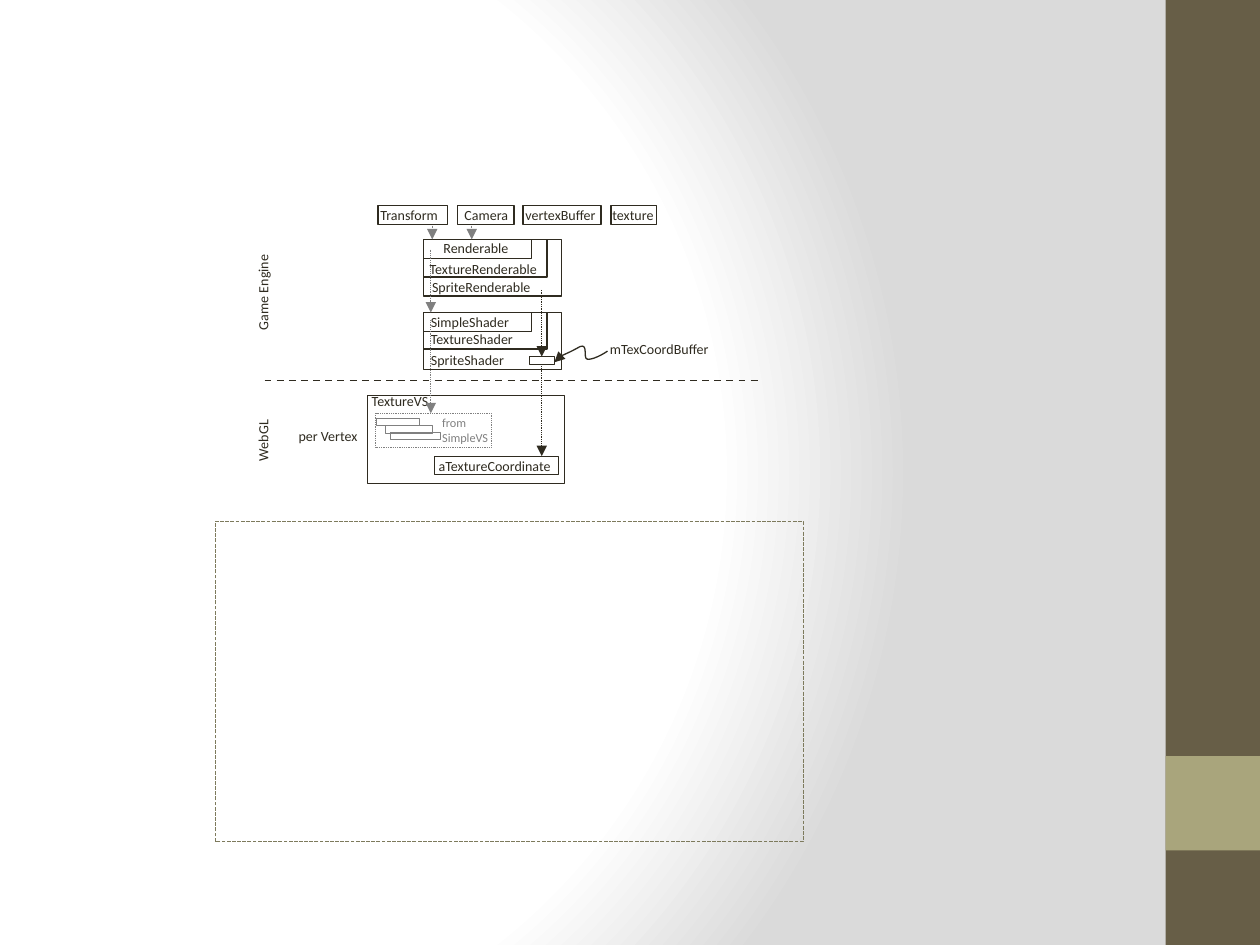
from lxml import etree
from pptx import Presentation
from pptx.dml.color import RGBColor
from pptx.enum.dml import MSO_LINE
from pptx.enum.shapes import MSO_CONNECTOR, MSO_SHAPE
from pptx.enum.text import MSO_AUTO_SIZE, PP_ALIGN
from pptx.oxml import parse_xml
from pptx.oxml.ns import nsdecls, qn
from pptx.util import Pt

INK = RGBColor(0x2F, 0x2B, 0x20)
GRAY = RGBColor(0x80, 0x80, 0x80)
OLIVE = RGBColor(0x7D, 0x7A, 0x5C)
BROWN = RGBColor(0x67, 0x5E, 0x47)
SAGE = RGBColor(0xA9, 0xA5, 0x7C)
WHITE = RGBColor(0xFF, 0xFF, 0xFF)
SILVER = RGBColor(0xDA, 0xDA, 0xDA)
RECT = MSO_SHAPE.RECTANGLE
STRAIGHT = MSO_CONNECTOR.STRAIGHT
DASH, DOT, FINE = MSO_LINE.DASH, MSO_LINE.ROUND_DOT, MSO_LINE.SQUARE_DOT
LEFT, CENTER = PP_ALIGN.LEFT, PP_ALIGN.CENTER
FRAME = {"margin_left": 0, "margin_right": 0, "margin_top": Pt(3.6),
         "margin_bottom": Pt(3.6), "word_wrap": False,
         "auto_size": MSO_AUTO_SIZE.SHAPE_TO_FIT_TEXT}
ROW = 10.8


def assign(item, values):
    """Set each attribute of an item from a dict."""
    for name, value in values.items():
        setattr(item, name, value)


def stroke(line, color, weight, dash=None):
    """Style an outline."""
    line.color.rgb = color
    assign(line, {"width": Pt(weight), "dash_style": dash})


def tip(shape, end):
    """Add a triangle head at one end of a line."""
    ln = shape.element.spPr.find(qn("a:ln"))
    etree.SubElement(ln, qn("a:" + end), type="triangle")


def box(shapes, left, top, width, height, color=INK, weight=0.75, dash=None):
    """Draw an unfilled rectangle."""
    rect = shapes.add_shape(RECT, Pt(left), Pt(top), Pt(width), Pt(height))
    rect.shadow.inherit = False
    rect.fill.background()
    stroke(rect.line, color, weight, dash)
    return rect


def label(shapes, left, top, width, *lines, height=17.3, size=8, color=INK,
          align=LEFT, turn=0):
    """Write a small label, one paragraph per line."""
    note = shapes.add_textbox(Pt(left), Pt(top), Pt(width), Pt(height))
    note.rotation = turn
    frame = note.text_frame
    assign(frame, FRAME)
    frame.text = "\n".join(lines)
    for para in frame.paragraphs:
        para.alignment = align
        assign(para.font, {"name": "Calibri", "size": Pt(size)})
        para.font.color.rgb = color


def link(shapes, x1, y1, x2, y2, color=INK, weight=0.5, dash=DOT, head=True):
    """Draw a dashed line, with an arrowhead if asked."""
    line = shapes.add_connector(STRAIGHT, Pt(x1), Pt(y1), Pt(x2), Pt(y2))
    stroke(line.line, color, weight, dash)
    if head:
        tip(line, "tailEnd")
    etree.SubElement(line.element.spPr, qn("a:effectLst"))
    return line


def tag(shapes, left, top, width, inset, span, text, weight=0.75, align=LEFT):
    """Group a label with its box."""
    group = shapes.add_group_shape().shapes
    label(group, left + inset, top - 2.9, span, text, align=align)
    box(group, left, top, width, ROW, weight=weight)


def stack(shapes, left, top, middle, names):
    """Nest three class boxes that share a corner."""
    sizes = (61.9, ROW), (70.6, middle), (79.2, 3 * ROW)
    for (width, height), (dx, dy, span, text) in zip(sizes, names):
        box(shapes, left, top, width, height)
        label(shapes, left + dx, top + dy, span, text)


def inputs(shapes, left, top):
    """Place the row of objects that feed the renderables."""
    tags = ((0, 39.6, 1.4, 36, "Transform", LEFT),
            (45.4, 32.4, 3.6, 25.9, "Camera", CENTER),
            (82.8, 44.6, 1.4, 41.8, "vertexBuffer", LEFT),
            (133.2, 25.9, 0.7, 25.2, "texture", LEFT))
    for dx, width, inset, span, text, align in tags:
        tag(shapes, left + dx, top, width, inset, span, text, align=align)


def vertex(shapes, left, top):
    """Place the vertex shader with its inherited part."""
    box(shapes, left, top, 112.3, 50.4)
    label(shapes, left + 2.2, top - 5.1, 36.7, "TextureVS")
    tag(shapes, left + 38.2, top + 34.5, 70.6, 2.2, 65.5,
        "aTextureCoordinate", weight=0.5)
    group = shapes.add_group_shape().shapes
    for dx, dy, width in ((5.1, 13, 24.5), (10.1, 17.2, 26.6), (13, 21, 28.8)):
        box(group, left + dx, top + dy, width, 4.3, GRAY, 0.5)
    label(group, left + 42.5, top + 7.9, 27.4, "from", "SimpleVS",
          height=24.5, size=7, color=GRAY)
    box(group, left + 4.4, top + 10.1, 66.2, 19.4, GRAY, 0.5, DOT)


def buffer(shapes, left, top):
    """Place the texture buffer, its data flow and its callout."""
    slot = box(shapes, left, top, 14.4, 4.3, weight=0.5)
    mid = left + 7.2
    link(shapes, mid, top - 38.2, mid, top).end_connect(slot, 0)
    link(shapes, mid, top + 4.3, mid, top + 56.8).begin_connect(slot, 2)
    label(shapes, left + 46.1, top - 13, 57.6, "mTexCoordBuffer")
    curve(shapes, left + 14.4, top + 3.2)


def curve(shapes, left, top):
    """Draw the wavy callout arrow from cubic segments."""
    steps = ((0.3, -0.5), (0, -1.2), (0, -1.8),
             (6.5, -4.9), (8.6, -5.6), (14.8, -9),
             (19.4, -10.8), (16.4, -2.4), (18.7, -1.8),
             (21.6, -1.1), (28.1, -4.7), (30.4, -6.4))
    pen = shapes.build_freeform(Pt(left), Pt(top))
    pen.add_line_segments([(Pt(left + x), Pt(top + y)) for x, y in steps],
                          close=False)
    wave = pen.convert_to_shape()
    wave.shadow.inherit = False
    wave.fill.background()
    stroke(wave.line, INK, 0.75)
    tip(wave, "headEnd")
    lines = list(wave.element.iter(qn("a:lnTo")))
    for first in range(0, len(lines), 3):
        trio = lines[first:first + 3]
        cubic = etree.Element(qn("a:cubicBezTo"))
        trio[0].addprevious(cubic)
        for line in trio:
            cubic.append(line[0])
            line.getparent().remove(line)


def diagram(shapes, left, top):
    """Place the engine and shader parts with their links."""
    inputs(shapes, left + 64.8, top)
    stack(shapes, left + 90.7, top + 19.4, 21.6,
          ((11.5, -3.6, 38.2, "Renderable"),
           (3.6, 8.6, 64.1, "TextureRenderable"),
           (5, 18.7, 57.6, "SpriteRenderable")))
    stack(shapes, left + 90.7, top + 61.2, 20.9,
          ((4.3, -2.9, 47.5, "SimpleShader"),
           (4.3, 6.5, 49, "TextureShader"),
           (4.3, 18.7, 49, "SpriteShader")))
    vertex(shapes, left + 59, top + 108.7)
    buffer(shapes, left + 151.2, top + 86.4)
    link(shapes, left, top + 100, left + 283, top + 100, INK, 1, DASH, False)
    for x, start, end in ((95.8, 11.5, 19.4), (95, 25.2, 61.2),
                          (95, 65.5, 118.8), (118.4, 11.5, 19.4)):
        link(shapes, left + x, top + start, left + x, top + end, GRAY)
    label(shapes, left - 14.4, top + 123.8, 27.4, "WebGL", turn=270)
    label(shapes, left - 23, top + 40.3, 44.6, "Game Engine", turn=270)
    label(shapes, left + 19.4, top + 123.1, 36.7, "per Vertex")


def backdrop(slide, left, top, width, height):
    """Set the radial background and the side strip."""
    stops = "".join(
        f'<a:gs pos="{pos}000"><a:srgbClr val="{color}"/></a:gs>'
        for pos, color in ((0, WHITE), (75, WHITE), (100, SILVER)))
    slide.element.cSld.insert(0, parse_xml(
        f'<p:bg {nsdecls("p", "a")}><p:bgPr><a:gradFill rotWithShape="1">'
        f'<a:gsLst>{stops}</a:gsLst><a:path path="circle"><a:fillToRect '
        'l="20000" t="50000" r="100000" b="50000"/></a:path></a:gradFill>'
        '<a:effectLst/></p:bgPr></p:bg>'))
    for y, tall, color in ((top, height, BROWN), (top + 432, width, SAGE)):
        band = slide.shapes.add_shape(RECT, Pt(left), Pt(y), Pt(width), Pt(tall))
        band.shadow.inherit = False
        band.fill.solid()
        band.fill.fore_color.rgb = color
        band.line.fill.background()


def main():
    """Build and save the slide."""
    deck = Presentation()
    assign(deck, {"slide_width": Pt(720), "slide_height": Pt(540)})
    slide = deck.slides.add_slide(deck.slide_layouts[6])
    backdrop(slide, 666, 0, 54, 540)
    box(slide.shapes, 123, 298, 336, 183, OLIVE, 0.75, FINE)
    diagram(slide.shapes, 151.2, 117.4)
    deck.save("out.pptx")


if __name__ == "__main__":
    main()
